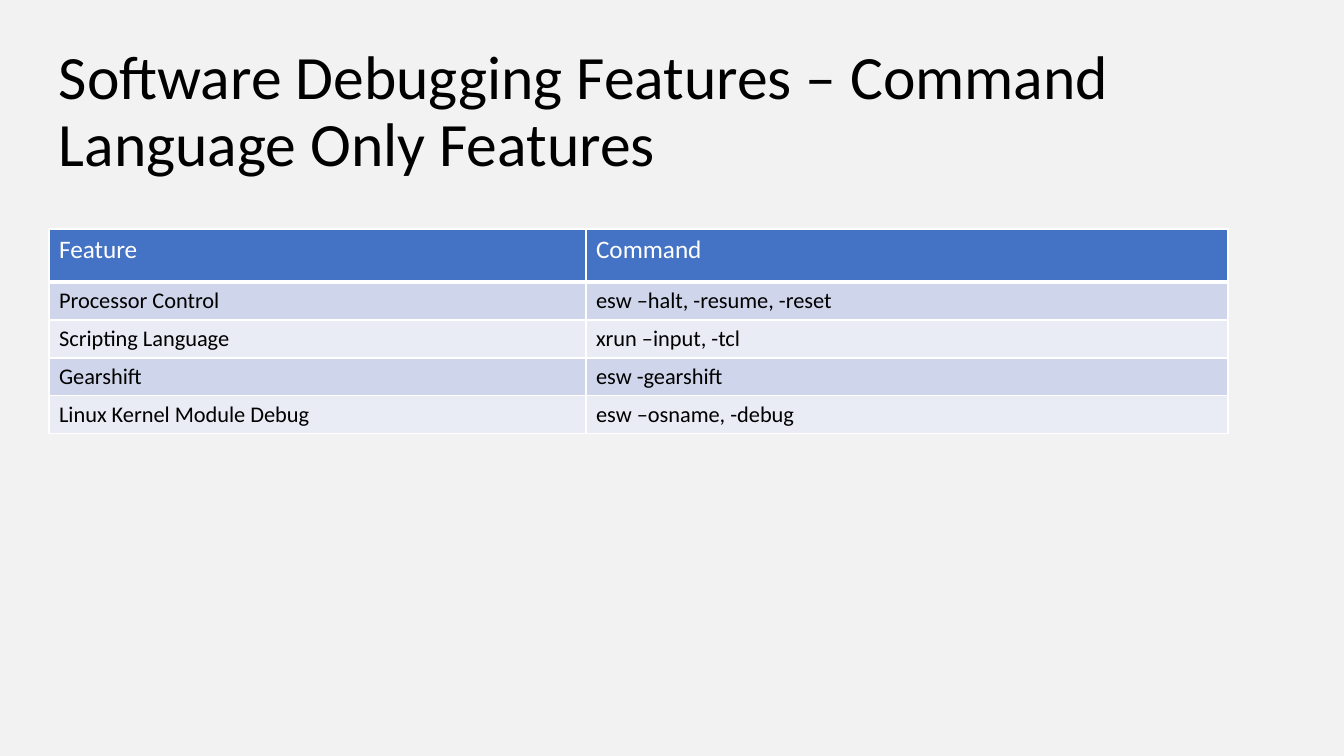
from lxml import etree
from pptx import Presentation
from pptx import util as u
from pptx.dml.color import RGBColor
from pptx.enum import text
from pptx.oxml.ns import qn

TITLE = "Software Debugging Features – Command Language Only Features"
ROWS = [
    ("Feature", "Command"),
    ("Processor Control", "esw –halt, -resume, -reset"),
    ("Scripting Language", "xrun –input, -tcl"),
    ("Gearshift", "esw -gearshift"),
    ("Linux Kernel Module Debug", "esw –osname, -debug"),
]
FONT = "Calibri"
BACKGROUND, BLACK, WHITE = "F2F2F2", "000000", "FFFFFF"
HEADER_FILL, BAND_FILLS = "4472C4", ("CFD5EA", "E9EBF5")

SLIDE_W, SLIDE_H = 1344, 756
TITLE_BOX = (49, 40, 1247, 146)
TABLE_LEFT, TABLE_TOP = 49, 229
COL_WIDTHS = (537, 642)
ROW_HEIGHTS = [53] + [38] * (len(ROWS) - 1)


def px(n):
    return u.Emu(round(n * 914400 / 100.8))


def color(hex_value):
    return RGBColor.from_string(hex_value)


def add_run(p, words, size, hex_value):
    r = p.add_run()
    r.text = words
    r.font.name = FONT
    r.font.size = u.Pt(size)
    r.font.color.rgb = color(hex_value)


def set_borders(cell, bottom):
    """Draw white borders, 1 pt apart from the bottom one; call before filling."""
    tc_pr = cell._tc.get_or_add_tcPr()
    for side, width in (("L", 1), ("R", 1), ("T", 1), ("B", bottom)):
        ln = etree.SubElement(tc_pr, qn(f"a:ln{side}"), w=str(u.Pt(width)))
        fill = etree.SubElement(ln, qn("a:solidFill"))
        etree.SubElement(fill, qn("a:srgbClr"), val=WHITE)


def add_title(s):
    tf = s.shapes.add_textbox(*map(px, TITLE_BOX)).text_frame
    tf.word_wrap = True
    tf.vertical_anchor = text.MSO_ANCHOR.MIDDLE
    p = tf.paragraphs[0]
    p.line_spacing = 0.9
    add_run(p, TITLE, 44, BLACK)


def add_feature_table(s):
    table = s.shapes.add_table(
        len(ROWS), len(COL_WIDTHS), px(TABLE_LEFT), px(TABLE_TOP),
        px(sum(COL_WIDTHS)), px(sum(ROW_HEIGHTS))).table
    for column, width in zip(table.columns, COL_WIDTHS):
        column.width = px(width)
    for i, (row, height) in enumerate(zip(table.rows, ROW_HEIGHTS)):
        row.height = px(height)
        if i == 0:
            fill, size, ink, bottom = HEADER_FILL, 18, WHITE, 3
        else:
            fill, size, ink, bottom = BAND_FILLS[(i - 1) % 2], 16, BLACK, 1
        for cell, words in zip(row.cells, ROWS[i]):
            set_borders(cell, bottom)
            cell.fill.solid()
            cell.fill.fore_color.rgb = color(fill)
            add_run(cell.text_frame.paragraphs[0], words, size, ink)


def main():
    prs = Presentation()
    prs.slide_width, prs.slide_height = px(SLIDE_W), px(SLIDE_H)
    s = prs.slides.add_slide(prs.slide_layouts[6])
    s.background.fill.solid()
    s.background.fill.fore_color.rgb = color(BACKGROUND)
    add_title(s)
    add_feature_table(s)
    prs.save("out.pptx")


if __name__ == "__main__":
    main()
